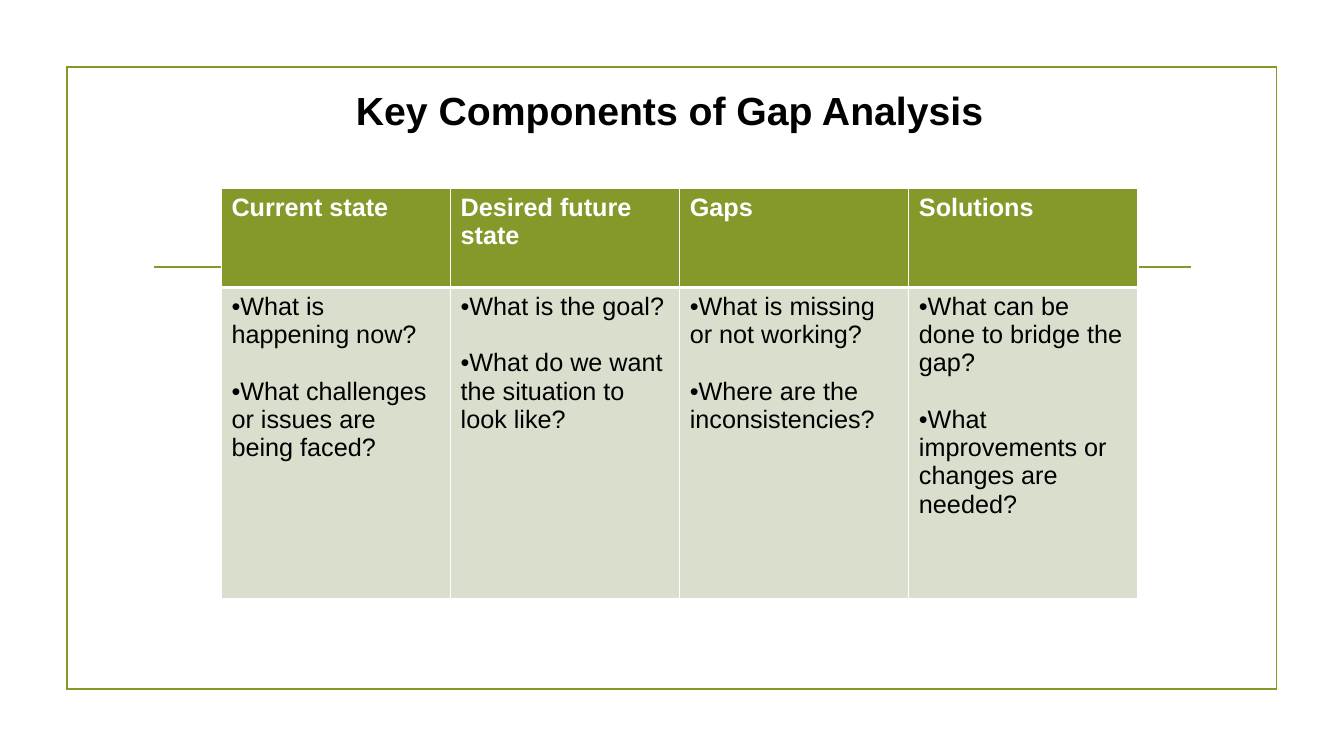
from dataclasses import dataclass

from pptx import Presentation
from pptx.dml.color import RGBColor
from pptx.enum.shapes import MSO_CONNECTOR as CONN, MSO_SHAPE as SHAPE
from pptx.enum.text import MSO_ANCHOR as ANCHOR, PP_ALIGN as ALIGN
from pptx.oxml.ns import qn
from pptx.util import Pt
from lxml.etree import SubElement


@dataclass(frozen=True)
class Theme:
    font: str = "Arial"
    green: str = "83992A"
    pale: str = "D9DECD"
    white: str = "FFFFFF"
    black: str = "000000"
    title: float = 28
    text: float = 18
    rule: float = 1.25


T = Theme()
rgb = RGBColor.from_string

COMPONENTS = {
    "Current state": ["What is happening now?",
                      "What challenges or issues are being faced?"],
    "Desired future state": ["What is the goal?",
                             "What do we want the situation to look like?"],
    "Gaps": ["What is missing or not working?",
             "Where are the inconsistencies?"],
    "Solutions": ["What can be done to bridge the gap?",
                  "What improvements or changes are needed?"],
}


def write(p, text, size=T.text, color=T.black, bold=False, align=ALIGN.LEFT,
          bullet=False, before=0):
    p.alignment, p.space_before = align, Pt(before)
    if bullet:
        pPr = p._p.get_or_add_pPr()
        pPr.set("marL", "0")
        pPr.set("indent", "0")
        SubElement(pPr, qn("a:buFont"), typeface=T.font)
        SubElement(pPr, qn("a:buChar"), char="•")
    r = p.add_run()
    r.text = text
    f = r.font
    f.name, f.size, f.bold = T.font, Pt(size), bold
    f.color.rgb = rgb(color)


def set_borders(cell, **widths):
    tcPr = cell._tc.get_or_add_tcPr()
    for i, side in enumerate("LRTB"):
        ln = tcPr.makeelement(qn(f"a:ln{side}"),
                              {"w": str(int(Pt(widths.get(side, 1))))})
        fill = SubElement(ln, qn("a:solidFill"))
        SubElement(fill, qn("a:srgbClr"), val=T.white)
        tcPr.insert(i, ln)


def add_frame(s, x, y, w, h):
    # Outline around the slide content
    sp = s.shapes.add_shape(SHAPE.RECTANGLE, Pt(x), Pt(y), Pt(w), Pt(h))
    sp.shadow.inherit = False
    sp.fill.background()
    sp.line.color.rgb, sp.line.width = rgb(T.green), Pt(T.rule)
    SubElement(sp.line._get_or_add_ln(), qn("a:miter"), lim="800000")

    # Rule behind the table
    rule_y = Pt(y + 142.5)
    ln = s.shapes.add_connector(CONN.STRAIGHT, Pt(x + 62.5), rule_y,
                                Pt(x + w - 61), rule_y)
    ln.line.color.rgb, ln.line.width = rgb(T.green), Pt(T.rule)
    SubElement(ln._element.spPr, qn("a:effectLst"))


def add_title(s, text, x, y, w, h):
    sp = s.shapes.title
    sp.left, sp.top, sp.width, sp.height = Pt(x), Pt(y), Pt(w), Pt(h)
    tf = sp.text_frame
    tf.word_wrap, tf.vertical_anchor = True, ANCHOR.MIDDLE
    write(tf.paragraphs[0], text, size=T.title, bold=True, align=ALIGN.CENTER)


def add_components(s, components, x, y, w, h, head_h=70.5):
    tbl = s.shapes.add_table(2, len(components), Pt(x), Pt(y),
                             Pt(w), Pt(h)).table
    tbl.rows[0].height, tbl.rows[1].height = Pt(head_h), Pt(h - head_h)
    for col, (heading, questions) in enumerate(components.items()):
        tbl.columns[col].width = Pt(w / len(components))
        head, body = tbl.cell(0, col), tbl.cell(1, col)
        for cell, color in ((head, T.green), (body, T.pale)):
            cell.fill.solid()
            cell.fill.fore_color.rgb = rgb(color)
        set_borders(head, B=3)
        set_borders(body, T=3)
        write(head.text_frame.paragraphs[0], heading, color=T.white, bold=True)
        tf = body.text_frame
        for i, question in enumerate(questions):
            p = tf.add_paragraph() if i else tf.paragraphs[0]
            write(p, question, bullet=True, before=20.3 if i else 0)


def main():
    prs = Presentation()
    prs.slide_width, prs.slide_height = Pt(960), Pt(540)
    s = prs.slides.add_slide(prs.slide_layouts[5])
    add_frame(s, 47.8, 48, 864, 444)
    add_title(s, "Key Components of Gap Analysis", 52, 60, 852.5, 37)
    add_components(s, COMPONENTS, 158.2, 134.8, 654.8, 292.5)
    prs.save("out.pptx")


if __name__ == "__main__":
    main()
